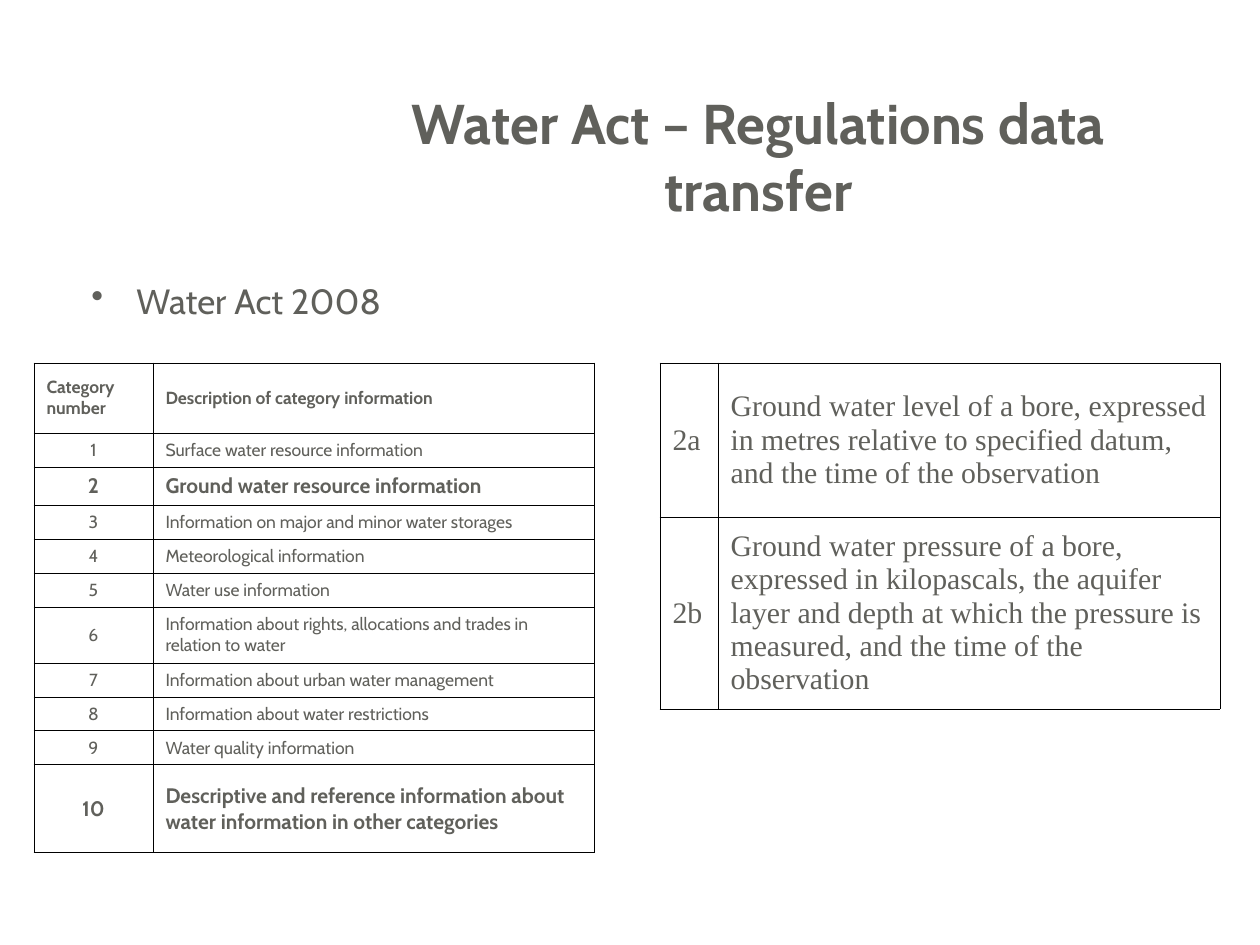
from lxml import etree
from pptx import Presentation
from pptx.dml.color import RGBColor
from pptx.enum.text import MSO_ANCHOR, PP_ALIGN
from pptx.oxml import parse_xml
from pptx.oxml.ns import nsdecls, qn
from pptx.util import Pt

LEFT, CENTER = PP_ALIGN.LEFT, PP_ALIGN.CENTER
MIDDLE = MSO_ANCHOR.MIDDLE
PX = 914400 / 126
GREY = "60605B"
BLACK = "000000"


def px(*lengths):
    return [round(length * PX) for length in lengths]


def write(frame, text, size=10, font="Cabin", bold=False, align=LEFT):
    frame.word_wrap = True
    paragraph = frame.paragraphs[0]
    paragraph.alignment = align
    run = paragraph.add_run()
    run.text = text
    run.font.size = Pt(size)
    run.font.name = font
    run.font.bold = bold
    run.font.color.rgb = RGBColor.from_string(GREY)


presentation = Presentation()
presentation.slide_width, presentation.slide_height = px(1260, 945)
slide = presentation.slides.add_slide(presentation.slide_layouts[5])

heading = slide.shapes.title
heading.left, heading.top, heading.width, heading.height = px(312, 76, 893, 159)
heading.text_frame.vertical_anchor = MIDDLE
write(heading.text_frame, "Water Act – Regulations data transfer", size=32, bold=True, align=CENTER)

act = slide.shapes.add_textbox(*px(64, 273, 559, 456)).text_frame
properties = act.paragraphs[0]._p.get_or_add_pPr()
margin, hanging = px(60, -45)
properties.set("marL", str(margin))
properties.set("indent", str(hanging))
etree.SubElement(properties, qn("a:buChar")).set("char", "•")
act.paragraphs[0].space_after = Pt(7.5)
write(act, "Water Act 2008", size=20)

HEADER = {"bold": True}
PLAIN = {}
KEY = {"size": 12, "bold": True}
SERIF = {"size": 17, "font": "Times New Roman"}

categories = [
    ("Category number", "Description of category information", 70, HEADER),
    ("1", "Surface water resource information", 34, PLAIN),
    ("2", "Ground water resource information", 38, KEY),
    ("3", "Information on major and minor water storages", 34, PLAIN),
    ("4", "Meteorological information", 34, PLAIN),
    ("5", "Water use information", 34, PLAIN),
    ("6", "Information about rights, allocations and trades in relation to water", 56, PLAIN),
    ("7", "Information about urban water management", 34, PLAIN),
    ("8", "Information about water restrictions", 34, PLAIN),
    ("9", "Water quality information", 34, PLAIN),
    ("10", "Descriptive and reference information about water information in other categories", 88, KEY),
]
subcategories = [
    ("2a", "Ground water level of a bore, expressed in metres relative to specified datum, "
     "and the time of the observation", 154, SERIF),
    ("2b", "Ground water pressure of a bore, expressed in kilopascals, the aquifer layer and depth "
     "at which the pressure is measured, and the time of the observation", 192, SERIF),
]

for left, widths, entries in [(34, (119, 441), categories), (660, (58, 502), subcategories)]:
    height = sum(entry[2] for entry in entries)
    table = slide.shapes.add_table(len(entries), 2, *px(left, 363, sum(widths), height)).table
    table.first_row = table.horz_banding = False
    for column, width in zip(table.columns, px(*widths)):
        column.width = width
    for row, (number, description, row_height, style) in zip(table.rows, entries):
        row.height = px(row_height)[0]
        number_align = CENTER if number.isdigit() else LEFT
        for cell, text, align in zip(row.cells, (number, description), (number_align, LEFT)):
            cell.vertical_anchor = MIDDLE
            write(cell.text_frame, text, align=align, **style)
            cell_properties = cell._tc.get_or_add_tcPr()
            for side in ("lnL", "lnR", "lnT", "lnB"):
                cell_properties.append(parse_xml(
                    f'<a:{side} {nsdecls("a")} w="{Pt(0.45)}"><a:solidFill>'
                    f'<a:srgbClr val="{BLACK}"/></a:solidFill></a:{side}>'))
            cell.fill.background()

presentation.save("out.pptx")
